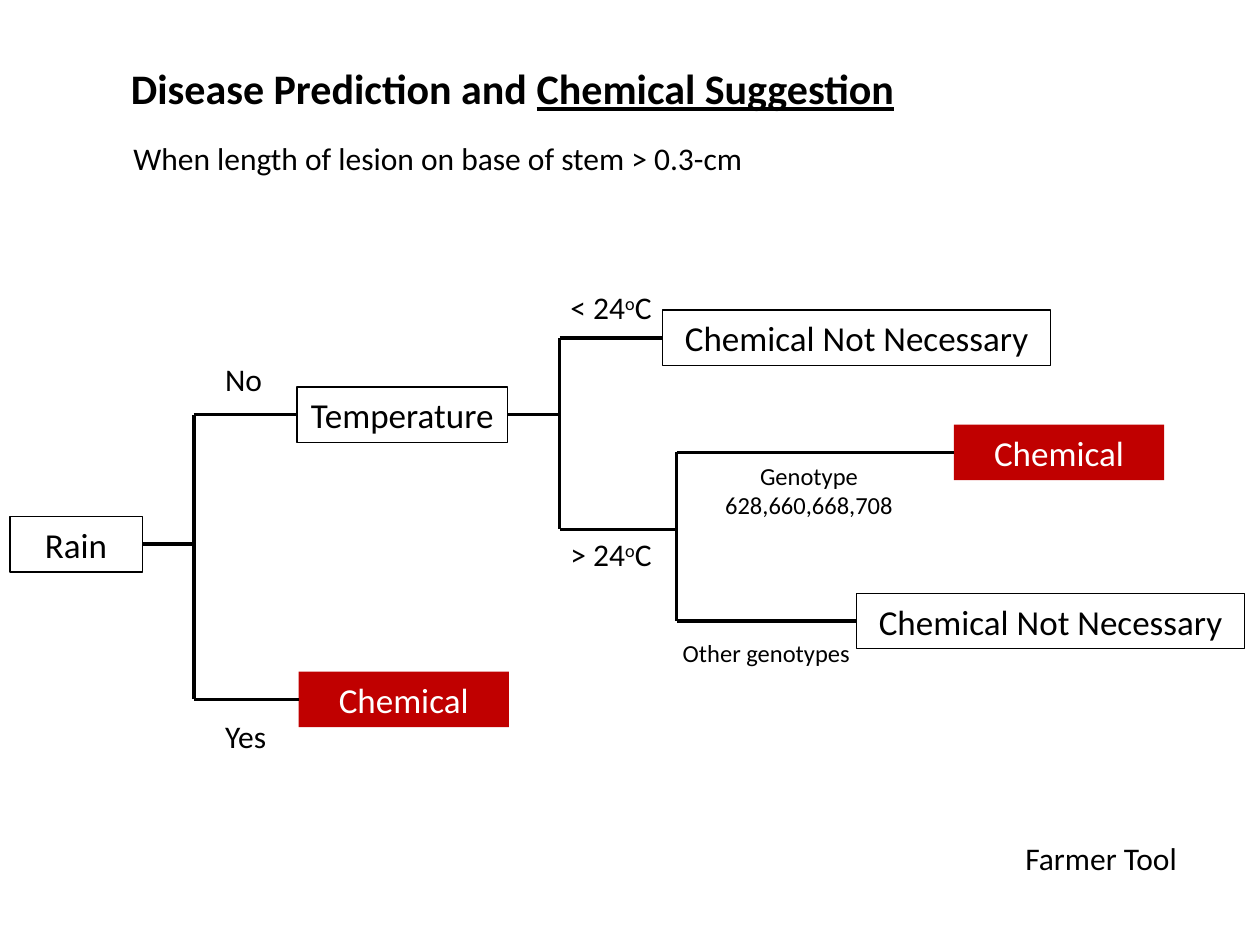
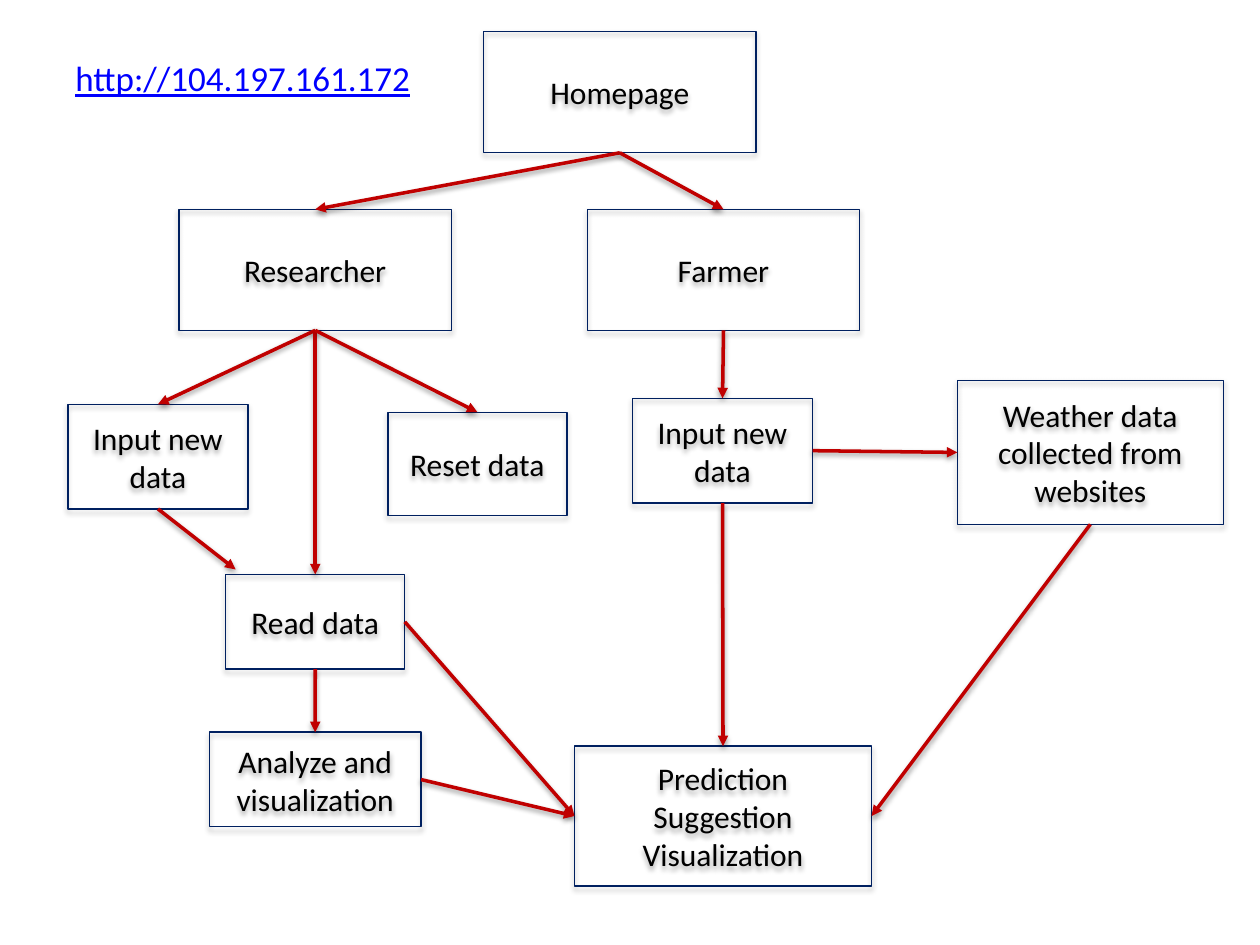
from dataclasses import dataclass
from typing import Callable, Optional, Union

from lxml import etree
from pptx import Presentation
from pptx.dml.color import RGBColor
from pptx.enum.shapes import MSO_CONNECTOR, MSO_SHAPE
from pptx.enum.text import MSO_ANCHOR, PP_ALIGN
from pptx.oxml.ns import qn
from pptx.shapes.autoshape import Shape
from pptx.slide import Slide
from pptx.text.text import Font, TextFrame
from pptx.util import Cm, Pt

RECT = MSO_SHAPE.RECTANGLE
STRAIGHT = MSO_CONNECTOR.STRAIGHT
LEFT, CENTER = PP_ALIGN.LEFT, PP_ALIGN.CENTER
MIDDLE, BOTTOM, TOP = MSO_ANCHOR.MIDDLE, MSO_ANCHOR.BOTTOM, MSO_ANCHOR.TOP
UP, WEST, DOWN, EAST = range(4)


@dataclass(frozen=True)
class Theme:
    font: str = "Calibri"
    black: str = "000000"
    white: str = "FFFFFF"
    red: str = "C00000"
    navy: str = "002060"
    blue: str = "0000FF"
    title: float = 24
    large: float = 20
    body: float = 18
    small: float = 14
    thin: float = 0.75
    thick: float = 2


THEME = Theme()


@dataclass(frozen=True)
class Look:
    size: float
    color: str = THEME.black
    align: PP_ALIGN = CENTER
    bold: bool = False
    under: bool = False


@dataclass(frozen=True)
class Shade:
    alpha: int
    blur: float
    drop: float


@dataclass(frozen=True)
class Skin:
    look: Look
    line: Optional[str] = None
    fill: Optional[str] = None
    shade: Optional[Shade] = None


@dataclass(frozen=True)
class Pen:
    color: str
    arrow: bool = False
    shade: Optional[Shade] = None


@dataclass(frozen=True)
class Box:
    key: str
    text: str
    left: float
    top: float
    width: float
    height: float
    skin: Skin


@dataclass(frozen=True)
class Note:
    text: str
    left: float
    top: float
    width: float
    height: float
    look: Look


@dataclass(frozen=True)
class Spot:
    x: int
    y: int


@dataclass(frozen=True)
class Joint:
    shape: Shape
    side: int

    def spot(self) -> Spot:
        s = self.shape
        across, along = {UP: (1, 0), WEST: (0, 1), DOWN: (1, 2), EAST: (2, 1)}[self.side]
        return Spot(s.left + s.width * across // 2, s.top + s.height * along // 2)


End = Union[Spot, Joint]

LABEL = Look(THEME.body, align=LEFT)
HINT = Look(THEME.small)
HEAD = Look(THEME.title, align=LEFT, bold=True)
LINK = Look(THEME.large, THEME.blue, LEFT, under=True)

PLAIN = Skin(Look(THEME.large), line=THEME.black)
ALERT = Skin(Look(THEME.large, THEME.white), fill=THEME.red)
NODE = Skin(Look(THEME.body), line=THEME.navy, shade=Shade(35, 3.1, 1.8))
BRANCH = Pen(THEME.black)
FLOW = Pen(THEME.red, arrow=True, shade=Shade(38, 3.1, 1.6))


def raised(font: Font) -> None:
    font._element.set("baseline", "30000")


def lined(font: Font) -> None:
    font.underline = True


def write(frame: TextFrame, text: str, look: Look, anchor: MSO_ANCHOR = MIDDLE,
          mark: Callable[[Font], None] = raised) -> None:
    frame.word_wrap = True
    frame.vertical_anchor = anchor
    for i, row in enumerate(text.split("\n")):
        para = frame.add_paragraph() if i else frame.paragraphs[0]
        para.alignment = look.align
        font = para.font
        font.name = THEME.font
        font.size = Pt(look.size)
        font.bold = look.bold
        font.underline = look.under
        font.color.rgb = RGBColor.from_string(look.color)
        for j, part in enumerate(row.split("|")):
            run = para.add_run()
            run.text = part
            if j % 2:
                mark(run.font)


def cast(effects: etree._Element, shade: Shade) -> None:
    outer = etree.SubElement(effects, qn("a:outerShdw"), blurRad=str(Pt(shade.blur)),
                             dist=str(Pt(shade.drop)), dir="5400000", rotWithShape="0")
    tint = etree.SubElement(outer, qn("a:srgbClr"), val=THEME.black)
    etree.SubElement(tint, qn("a:alpha"), val=str(shade.alpha * 1000))


def draw_box(slide: Slide, box: Box) -> Shape:
    skin = box.skin
    shape = slide.shapes.add_shape(RECT, Cm(box.left), Cm(box.top), Cm(box.width), Cm(box.height))
    if skin.fill:
        shape.fill.solid()
        shape.fill.fore_color.rgb = RGBColor.from_string(skin.fill)
    else:
        shape.fill.background()
    if skin.line:
        shape.line.color.rgb = RGBColor.from_string(skin.line)
        shape.line.width = Pt(THEME.thin)
    else:
        shape.line.fill.background()
    shape.shadow.inherit = False
    if skin.shade:
        cast(shape._element.spPr.find(qn("a:effectLst")), skin.shade)
    write(shape.text_frame, box.text, skin.look)
    return shape


def draw_note(slide: Slide, note: Note) -> None:
    area = slide.shapes.add_textbox(Cm(note.left), Cm(note.top), Cm(note.width), Cm(note.height))
    write(area.text_frame, note.text, note.look, TOP)


def place(end: End) -> Spot:
    return end.spot() if isinstance(end, Joint) else end


def draw_wire(slide: Slide, start: End, stop: End, pen: Pen) -> None:
    a, b = place(start), place(stop)
    wire = slide.shapes.add_connector(STRAIGHT, a.x, a.y, b.x, b.y)
    if isinstance(start, Joint):
        wire.begin_connect(start.shape, start.side)
    if isinstance(stop, Joint):
        wire.end_connect(stop.shape, stop.side)
    wire.line.color.rgb = RGBColor.from_string(pen.color)
    wire.line.width = Pt(THEME.thick)
    if pen.arrow:
        etree.SubElement(wire.line._get_or_add_ln(), qn("a:tailEnd"), type="triangle")
    effects = etree.SubElement(wire._element.spPr, qn("a:effectLst"))
    if pen.shade:
        cast(effects, pen.shade)


def draw_fork(slide: Slide, x: int, root: Optional[Joint], ends: list[End]) -> None:
    if root:
        draw_wire(slide, root, Spot(x, place(root).y), BRANCH)
    knees = [Spot(x, place(end).y) for end in ends]
    draw_wire(slide, knees[0], knees[-1], BRANCH)
    for knee, end in zip(knees, ends):
        draw_wire(slide, knee, end, BRANCH)


def draw_all(slide: Slide, boxes: list[Box], notes: list[Note]) -> dict[str, Shape]:
    shapes = {box.key: draw_box(slide, box) for box in boxes}
    for note in notes:
        draw_note(slide, note)
    return shapes


def build_tree(deck: Presentation) -> None:
    slide = deck.slides.add_slide(deck.slide_layouts[5])
    title = slide.shapes.title
    title.left, title.top, title.width, title.height = Cm(0), Cm(0.46), deck.slide_width, Cm(1.95)
    title.fill.solid()
    title.fill.fore_color.rgb = RGBColor.from_string(THEME.white)
    title.text_frame.margin_left = Cm(2.64)
    write(title.text_frame, "Disease Prediction and |Chemical Suggestion", HEAD, BOTTOM, lined)

    tall, mid, wide = 1.12, 4.24, 7.82
    skip = "Chemical Not Necessary"
    boxes = [
        Box("rain", "Rain", 0.2, 10.41, 2.67, tall, PLAIN),
        Box("heat", "Temperature", 5.99, 7.8, mid, tall, PLAIN),
        Box("wet", "Chemical", 6.02, 13.54, mid, tall, ALERT),
        Box("cool", skip, 13.36, 6.25, wide, tall, PLAIN),
        Box("weak", "Chemical", 19.23, 8.56, mid, tall, ALERT),
        Box("strong", skip, 17.27, 11.96, wide, tall, PLAIN),
    ]
    notes = [
        Note("When length of lesion on base of stem > 0.3-cm", 2.44, 2.67, 13.18, 1.02, LABEL),
        Note("No", 4.29, 7.14, 2.11, 1.02, LABEL),
        Note("Yes", 4.29, 14.33, 2.11, 1.02, LABEL),
        Note("< 24|o|C", 11.25, 5.69, 2.39, 1.02, LABEL),
        Note("> 24|o|C", 11.25, 10.67, 2.39, 1.02, LABEL),
        Note("Genotype\n628,660,668,708", 13.92, 9.17, 4.78, 1.45, HINT),
        Note("Other genotypes", 13.06, 12.73, 4.78, 0.86, HINT),
        Note("Farmer Tool", 20.42, 16.79, 3.76, 1.02, LABEL),
    ]
    shapes = draw_all(slide, boxes, notes)
    entry = {key: Joint(shape, WEST) for key, shape in shapes.items()}
    warm = Spot(Cm(13.64), Cm(10.67))
    draw_fork(slide, Cm(3.91), Joint(shapes["rain"], EAST), [entry["heat"], entry["wet"]])
    draw_fork(slide, Cm(11.28), Joint(shapes["heat"], EAST), [entry["cool"], warm])
    draw_fork(slide, warm.x, None, [entry["weak"], entry["strong"]])


def build_map(deck: Presentation) -> None:
    slide = deck.slides.add_slide(deck.slide_layouts[6])
    boxes = [
        Box("home", "Homepage", 9.75, 0.64, 5.49, 2.44, NODE),
        Box("lab", "Researcher", 3.61, 4.22, 5.49, 2.44, NODE),
        Box("farm", "Farmer", 11.84, 4.22, 5.49, 2.44, NODE),
        Box("input", "Input new data", 1.37, 8.15, 3.63, 2.11, NODE),
        Box("reset", "Reset data", 7.82, 8.31, 3.61, 2.08, NODE),
        Box("read", "Read data", 4.55, 11.58, 3.61, 1.91, NODE),
        Box("study", "Analyze and visualization", 4.22, 14.76, 4.27, 1.91, NODE),
        Box("entry", "Input new data", 12.75, 8.03, 3.63, 2.11, NODE),
        Box("sky", "Weather data collected from websites", 19.3, 7.67, 5.36, 2.9, NODE),
        Box("guess", "Prediction Suggestion\nVisualization", 11.58, 15.04, 5.99, 2.82, NODE),
    ]
    notes = [Note("http://104.197.161.172", 1.27, 1.02, 10.16, 1.98, LINK)]
    shapes = draw_all(slide, boxes, notes)
    links = [
        ("home", DOWN, "lab", UP),
        ("home", DOWN, "farm", UP),
        ("lab", DOWN, "input", UP),
        ("lab", DOWN, "read", UP),
        ("lab", DOWN, "reset", UP),
        ("read", DOWN, "study", UP),
        ("read", EAST, "guess", WEST),
        ("study", EAST, "guess", WEST),
        ("farm", DOWN, "entry", UP),
        ("entry", EAST, "sky", WEST),
        ("entry", DOWN, "guess", UP),
        ("sky", DOWN, "guess", EAST),
    ]
    for start, out, stop, into in links:
        draw_wire(slide, Joint(shapes[start], out), Joint(shapes[stop], into), FLOW)
    draw_wire(slide, Joint(shapes["input"], DOWN), Spot(Cm(4.75), Cm(11.48)), FLOW)


def main() -> None:
    deck = Presentation()
    deck.slide_width, deck.slide_height = Cm(25.4), Cm(19.05)
    build_tree(deck)
    build_map(deck)
    deck.save("out.pptx")


if __name__ == "__main__":
    main()
